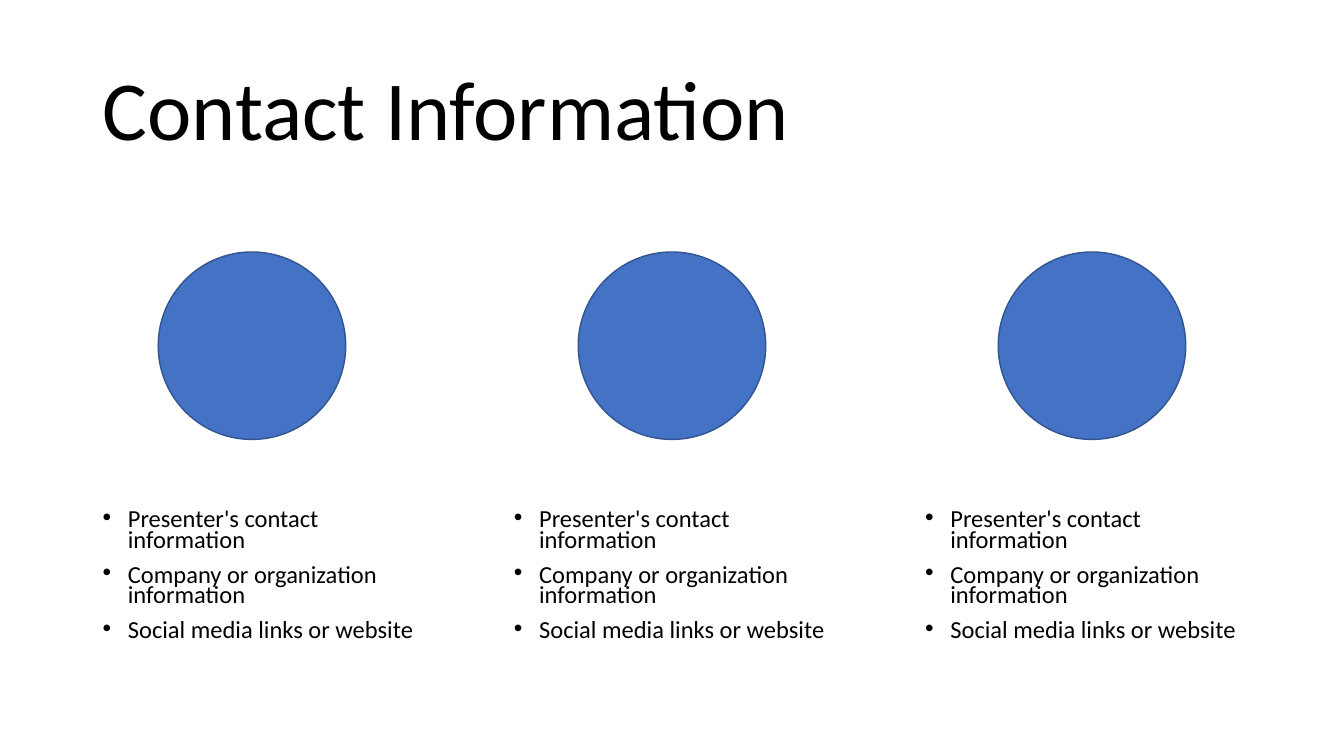
from lxml.etree import SubElement
from pptx import Presentation
from pptx.dml.color import RGBColor
from pptx.enum.shapes import MSO_SHAPE as Shape
from pptx.enum.text import MSO_ANCHOR as Anchor
from pptx.oxml.ns import qn
from pptx.util import Inches, Pt

WIDTH, HEIGHT = 13.33, 7.5
MARGIN = 0.92
COLUMNS = 3
CONTENT_WIDTH = WIDTH - 2 * MARGIN
DETAILS_WIDTH = WIDTH / 4
DETAILS_STEP = (CONTENT_WIDTH - DETAILS_WIDTH) / (COLUMNS - 1)
DETAILS_TOP = 0.67 * HEIGHT
DETAILS_HEIGHT = 0.23 * HEIGHT
CIRCLE_SIZE = 1.86
CIRCLE_STEP = WIDTH / 3.2
CIRCLE_TOP = HEIGHT / 3
CONTACT_DETAILS = [
    "Presenter's contact information",
    "Company or organization information",
    "Social media links or website",
]


def color(value):
    return RGBColor.from_string(value)


def add_text(slide, left, top, width, height, lines, size, spacing):
    box = slide.shapes.add_textbox(*map(Inches, (left, top, width, height)))
    frame = box.text_frame
    frame.word_wrap = True
    frame.text = "\n".join(lines)
    for paragraph in frame.paragraphs:
        paragraph.line_spacing = spacing
        font = paragraph.runs[0].font
        font.name, font.size = "Calibri", Pt(size)
        font.color.rgb = color("000000")
    return frame


def add_bullet(paragraph):
    paragraph.space_before = Pt(10)
    properties = paragraph._p.get_or_add_pPr()
    properties.set("marL", str(Inches(0.25)))
    properties.set("indent", str(Inches(-0.25)))
    SubElement(properties, qn("a:buFont")).set("typeface", "Arial")
    SubElement(properties, qn("a:buChar")).set("char", "•")


def add_title(slide):
    title = add_text(slide, MARGIN, 0.4, CONTENT_WIDTH, 1.45,
                     ["Contact Information"], 60, 0.9)
    title.vertical_anchor = Anchor.MIDDLE


def add_details(slide, column):
    details = add_text(slide, MARGIN + column * DETAILS_STEP, DETAILS_TOP,
                       DETAILS_WIDTH, DETAILS_HEIGHT, CONTACT_DETAILS, 17.5, 0.7)
    for paragraph in details.paragraphs:
        add_bullet(paragraph)


def add_circle(slide, column):
    center = WIDTH / 2 + (column - (COLUMNS - 1) / 2) * CIRCLE_STEP
    circle = slide.shapes.add_shape(
        Shape.OVAL, Inches(center - CIRCLE_SIZE / 2), Inches(CIRCLE_TOP),
        Inches(CIRCLE_SIZE), Inches(CIRCLE_SIZE))
    circle.shadow.inherit = False
    circle.fill.solid()
    circle.fill.fore_color.rgb = color("4472C4")
    circle.line.color.rgb = color("325491")
    circle.line.width = Pt(1)


def main():
    deck = Presentation()
    deck.slide_width, deck.slide_height = Inches(WIDTH), Inches(HEIGHT)
    slide = deck.slides.add_slide(deck.slide_layouts[6])
    add_title(slide)
    for column in range(COLUMNS):
        add_circle(slide, column)
        add_details(slide, column)
    deck.save("out.pptx")


if __name__ == "__main__":
    main()
